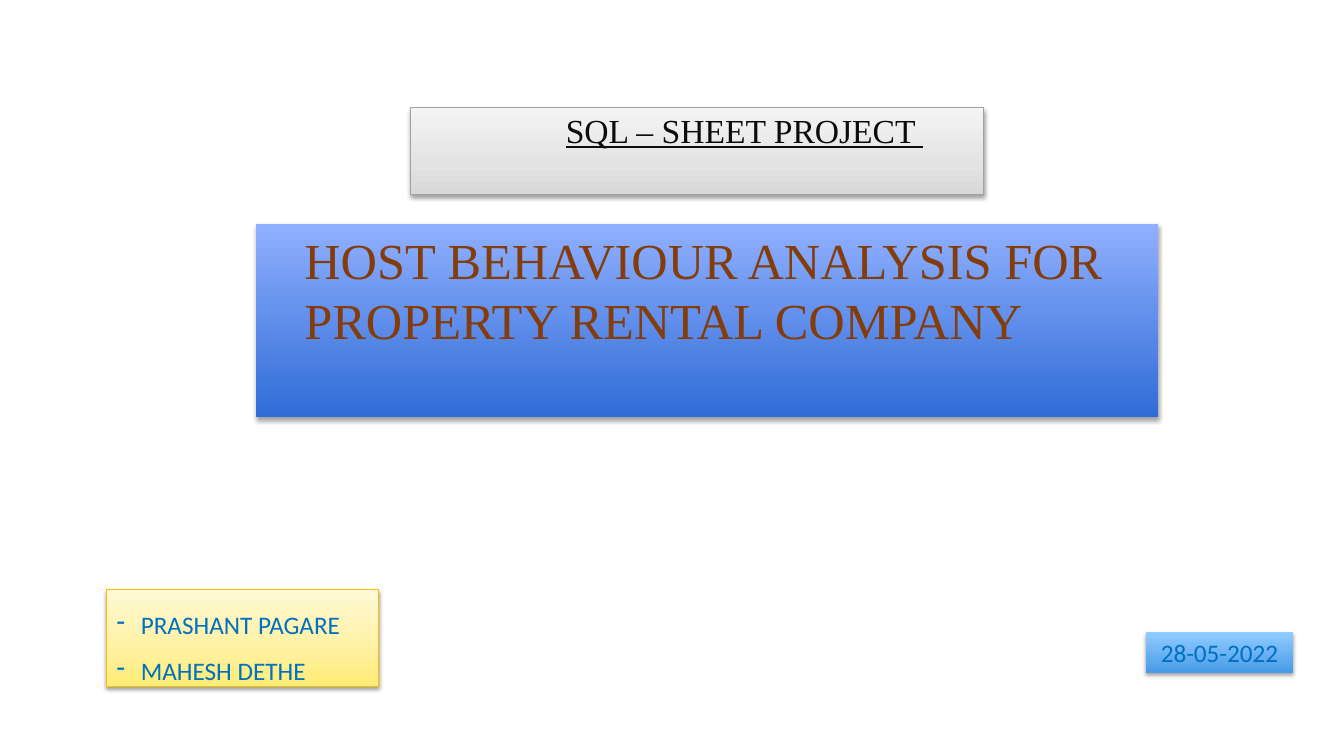
from lxml.etree import SubElement
from pptx import Presentation
from pptx.dml.color import RGBColor
from pptx.enum.shapes import MSO_SHAPE
from pptx.enum.text import MSO_ANCHOR, PP_ALIGN
from pptx.oxml.ns import qn
from pptx.util import Cm, Pt

THEME = {
    "grey": [(0, "D8D8D8"), (35, "E3E3E3"), (100, "F4F4F4")],
    "blue": [(0, "306CD7"), (100, "90B0FF")],
    "sky": [(0, "489BE7"), (100, "91CCFF")],
    "yellow": [(0, "FFED74"), (35, "FFF09F"), (100, "FFF9D6")],
    "grey_line": "A1A1A1",
    "yellow_line": "FFBE00",
    "shadow": "000000",
    "project": {"name": "Times New Roman", "size": Pt(24), "underline": True, "color": "0C0C0C"},
    "title": {"name": "Times New Roman", "size": Pt(36), "color": "833C0B"},
    "detail": {"name": "Calibri", "size": Pt(18), "color": "0070C0"},
}


def add_element(parent, tag, **attributes):
    return SubElement(parent, qn(tag), {key: str(value) for key, value in attributes.items()})


def add_gradient(shape, stops):
    shape.fill.gradient()
    shape.fill.gradient_angle = 90
    stop_list = shape.element.spPr.find(qn("a:gradFill")).find(qn("a:gsLst"))
    for stop in list(stop_list):
        stop_list.remove(stop)
    for position, color in stops:
        stop = add_element(stop_list, "a:gs", pos=position * 1000)
        add_element(stop, "a:srgbClr", val=color)


presentation = Presentation()
presentation.slide_width = Cm(33.87)
presentation.slide_height = Cm(19.05)
slide = presentation.slides.add_slide(presentation.slide_layouts[6])

panels = [
    {"box": (10.34, 2.72, 14.45, 2.18), "fill": "grey", "line": "grey_line",
     "font": "project", "lines": ["SQL – SHEET PROJECT "],
     "frame": {"margin_left": Cm(3.92), "margin_top": Cm(0.05)}},
    {"box": (28.88, 15.93, 3.71, 1.02), "fill": "sky",
     "font": "detail", "lines": ["28-05-2022"],
     "paragraph": {"alignment": PP_ALIGN.CENTER}},
    {"box": (6.45, 5.64, 22.73, 4.88), "fill": "blue",
     "font": "title", "lines": ["HOST BEHAVIOUR ANALYSIS FOR", "PROPERTY RENTAL COMPANY"],
     "frame": {"margin_left": Cm(1.22), "margin_top": Cm(0.13)}},
    {"box": (2.69, 14.86, 6.86, 2.44), "fill": "yellow", "line": "yellow_line",
     "font": "detail", "lines": ["PRASHANT PAGARE", "MAHESH DETHE"],
     "paragraph": {"line_spacing": 1.5}, "bullet": "-"},
]

for panel in panels:
    shape = slide.shapes.add_shape(MSO_SHAPE.RECTANGLE, *map(Cm, panel["box"]))
    add_gradient(shape, THEME[panel["fill"]])
    if "line" in panel:
        shape.line.color.rgb = RGBColor.from_string(THEME[panel["line"]])
        shape.line.width = Pt(0.75)
    else:
        shape.line.fill.background()

    shape.shadow.inherit = False
    effects = shape.element.spPr.find(qn("a:effectLst"))
    shadow = add_element(effects, "a:outerShdw", blurRad=Pt(3.1), dist=Pt(1.7),
                         dir=5400000, rotWithShape=0)
    shadow_color = add_element(shadow, "a:srgbClr", val=THEME["shadow"])
    add_element(shadow_color, "a:alpha", val=37000)

    frame = shape.text_frame
    frame_format = {"word_wrap": True, "vertical_anchor": MSO_ANCHOR.TOP}
    for name, value in {**frame_format, **panel.get("frame", {})}.items():
        setattr(frame, name, value)

    for index, line in enumerate(panel["lines"]):
        paragraph = frame.add_paragraph() if index else frame.paragraphs[0]
        paragraph_format = {"alignment": PP_ALIGN.LEFT, **panel.get("paragraph", {})}
        for name, value in paragraph_format.items():
            setattr(paragraph, name, value)
        if "bullet" in panel:
            properties = paragraph._p.get_or_add_pPr()
            properties.set("marL", str(Cm(0.61)))
            properties.set("indent", str(Cm(-0.61)))
            add_element(properties, "a:buChar", char=panel["bullet"])
        run = paragraph.add_run()
        run.text = line
        for name, value in THEME[panel["font"]].items():
            if name == "color":
                run.font.color.rgb = RGBColor.from_string(value)
            else:
                setattr(run.font, name, value)

presentation.save("out.pptx")
